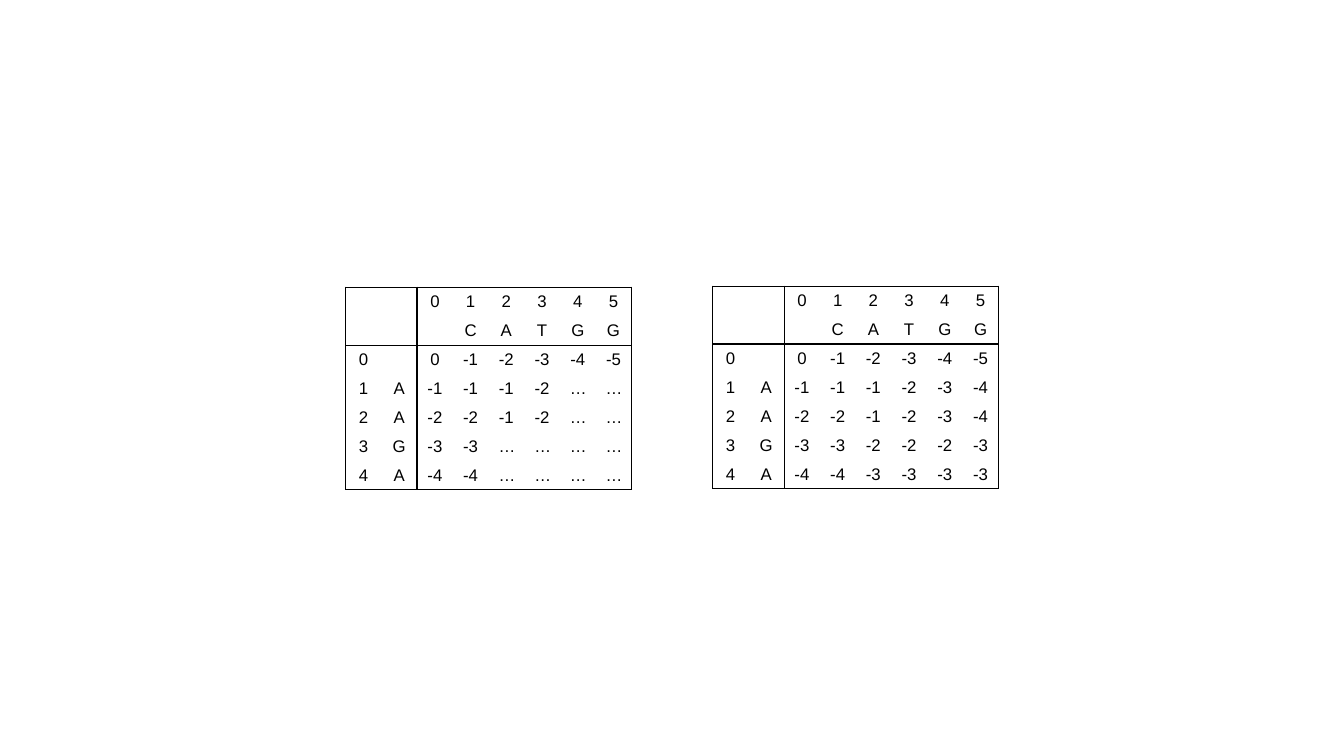
from lxml.etree import SubElement
from pptx import Presentation
from pptx.dml.color import RGBColor
from pptx.enum.text import PP_ALIGN
from pptx.oxml import parse_xml
from pptx.oxml.ns import nsdecls, qn
from pptx.util import Cm, Pt

BLACK = RGBColor(0, 0, 0)
FONT = "Arial"
FONT_SIZE = Pt(12)
LINE_WIDTH = Pt(1)
CELL_WIDTH = Cm(0.9)
CELL_HEIGHT = Cm(0.69)

ACROSS = "CATGG"
DOWN = "AAGA"
LABELS = 2  # an index and a letter lead every row and column
SCORES = [
    [0, -1, -2, -3, -4, -5],
    [-1, -1, -1, -2, -3, -4],
    [-2, -2, -1, -2, -3, -4],
    [-3, -3, -2, -2, -2, -3],
    [-4, -4, -3, -3, -3, -3],
]
KNOWN_ALL = [6, 6, 6, 6, 6]
KNOWN_PARTIAL = [6, 4, 4, 2, 2]


def matrix_rows(known):
    """Return all cell texts, with an ellipsis after the known scores of a row."""
    indices = [str(i) for i in range(len(ACROSS) + 1)]
    rows = [["", "", *indices], ["", "", "", *ACROSS]]
    for i, (letter, scores, count) in enumerate(zip(["", *DOWN], SCORES, known)):
        values = [str(v) if j < count else "…" for j, v in enumerate(scores)]
        rows.append([str(i), letter, *values])
    return rows


def set_borders(cell, sides):
    """Draw the named sides of a cell and clear the others."""
    tcPr = cell._tc.get_or_add_tcPr()
    for i, side in enumerate("LRTB"):
        paint = "<a:noFill/>"
        if side in sides:
            paint = f'<a:solidFill><a:srgbClr val="{BLACK}"/></a:solidFill>'
        tcPr.insert(i, parse_xml(
            f'<a:ln{side} {nsdecls("a")} w="{LINE_WIDTH}">{paint}</a:ln{side}>'))


def block_sides(row, col, n_rows, n_cols):
    """Return the sides on which a cell meets the edge of its block."""
    sides = ""
    if col in (0, LABELS):
        sides += "L"
    if col in (LABELS - 1, n_cols - 1):
        sides += "R"
    if row in (0, LABELS):
        sides += "T"
    if row in (LABELS - 1, n_rows - 1):
        sides += "B"
    return sides


def fill_cell(cell, text):
    """Write centred text into an unfilled cell."""
    cell.fill.background()
    p = cell.text_frame.paragraphs[0]
    p.alignment = PP_ALIGN.CENTER
    p.font.name = FONT
    p.font.size = FONT_SIZE
    p.font.color.rgb = BLACK
    if text:
        p.add_run().text = text
    else:  # an empty paragraph takes its height from its end mark
        SubElement(p._p, qn("a:endParaRPr"), sz=str(int(FONT_SIZE.pt * 100)))


def add_matrix(slide, left, top, rows):
    """Add an alignment matrix with ruled label and score blocks."""
    n_rows, n_cols = len(rows), len(rows[0])
    table = slide.shapes.add_table(n_rows, n_cols, left, top,
                                   CELL_WIDTH * n_cols, CELL_HEIGHT * n_rows).table
    table.first_row = False
    table.horz_banding = False
    for column in table.columns:
        column.width = CELL_WIDTH
    for i, texts in enumerate(rows):
        table.rows[i].height = CELL_HEIGHT
        for j, text in enumerate(texts):
            cell = table.cell(i, j)
            fill_cell(cell, text)
            set_borders(cell, block_sides(i, j, n_rows, n_cols))


def main():
    """Build the slide with the partial and the complete matrix."""
    prs = Presentation()
    prs.slide_width, prs.slide_height = Cm(33.87), Cm(19.05)
    s = prs.slides.add_slide(prs.slide_layouts[6])
    add_matrix(s, Cm(8.71), Cm(7.24), matrix_rows(KNOWN_PARTIAL))
    add_matrix(s, Cm(17.96), Cm(7.21), matrix_rows(KNOWN_ALL))
    prs.save("out.pptx")


main()
